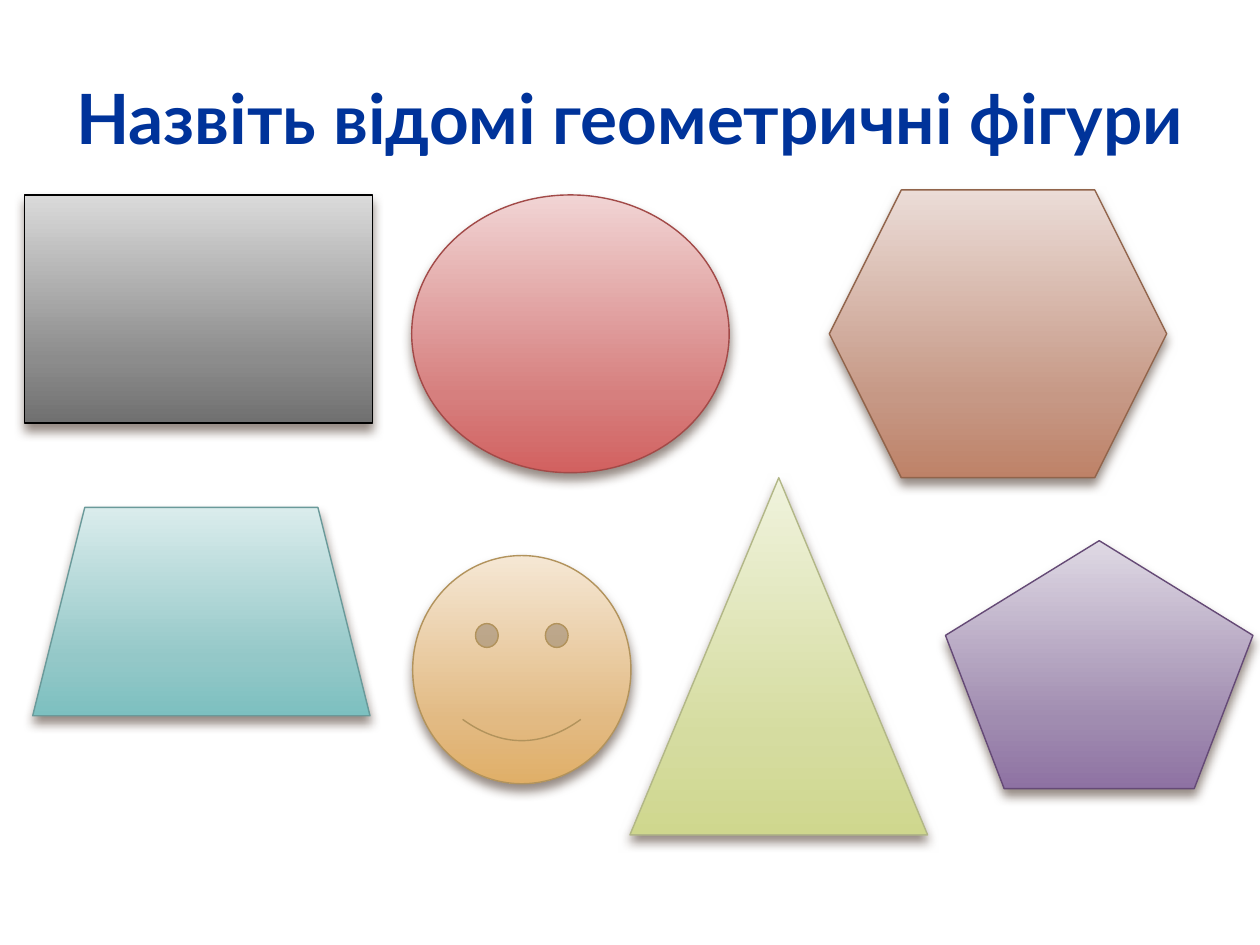
from copy import deepcopy

from lxml.etree import SubElement
from pptx import Presentation
from pptx.dml.color import RGBColor
from pptx.enum.shapes import MSO_SHAPE
from pptx.enum.text import MSO_ANCHOR, PP_ALIGN
from pptx.oxml import parse_xml
from pptx.oxml.ns import nsdecls, qn
from pptx.util import Cm, Pt

COLORS = {
    "title": "00339A",
    "title_outline": "F2F2F2",
    "shadow": "4E3B30",
    "black": ("DADADA", "8C8C8C", "707070", "000000"),
    "red": ("F1D4D4", "D67F7E", "D26160", "A24A48"),
    "lime": ("F0F3DD", "D5DCA0", "CFD78E", "B2B787"),
    "teal": ("DAECEC", "94C8C8", "7DC0C0", "6A9A9A"),
    "brown": ("EBDCD7", "C69885", "BE8268", "91644B"),
    "purple": ("DFD9E4", "A08CB0", "8E72A3", "654A76"),
    "orange": ("F5E7D4", "E2BA83", "E0AF68", "B2935C"),
}
STOP_POSITIONS = (0, 0.72, 1)
FIGURES = [
    (MSO_SHAPE.RECTANGLE, "black", 0.5, 3.93, 7.01, 4.6),
    (MSO_SHAPE.OVAL, "red", 8.3, 3.93, 6.4, 5.6),
    (MSO_SHAPE.ISOSCELES_TRIANGLE, "lime", 12.7, 9.63, 6, 7.2),
    (MSO_SHAPE.TRAPEZOID, "teal", 0.66, 10.23, 6.8, 4.2),
    (MSO_SHAPE.HEXAGON, "brown", 16.72, 3.83, 6.8, 5.8),
    (MSO_SHAPE.REGULAR_PENTAGON, "purple", 19.06, 10.9, 6.2, 5),
    (MSO_SHAPE.SMILEY_FACE, "orange", 8.32, 11.2, 4.4, 4.6),
]

prs = Presentation()
prs.slide_width, prs.slide_height = Cm(25.4), Cm(19.05)
slide = prs.slides.add_slide(prs.slide_layouts[6])

title = slide.shapes.add_textbox(Cm(1.27), Cm(0.76), Cm(22.86), Cm(3.18))
frame = title.text_frame
frame.word_wrap = True
frame.vertical_anchor = MSO_ANCHOR.MIDDLE
frame.margin_left = frame.margin_right = Cm(0)
paragraph = frame.paragraphs[0]
paragraph.alignment = PP_ALIGN.CENTER
run = paragraph.add_run()
run.text = "Назвіть відомі геометричні фігури"
run.font.name = "Lato"
run.font.size = Pt(39.6)
run.font.bold = True
run.font.color.rgb = RGBColor.from_string(COLORS["title"])
run.font._element.insert(0, parse_xml(
    f'<a:ln {nsdecls("a")} w="{Pt(0.15)}"><a:solidFill>'
    f'<a:srgbClr val="{COLORS["title_outline"]}"/></a:solidFill></a:ln>'
))

for preset, tone, left, top, width, height in FIGURES:
    figure = slide.shapes.add_shape(preset, Cm(left), Cm(top), Cm(width), Cm(height))
    *stop_colors, line_color = COLORS[tone]

    figure.fill.gradient()
    figure.fill.gradient_angle = 270
    stop_list = figure._element.spPr.find(".//" + qn("a:gsLst"))
    stop_list.append(deepcopy(stop_list[0]))
    for stop, position, color in zip(figure.fill.gradient_stops, STOP_POSITIONS, stop_colors):
        stop.position = position
        stop.color.rgb = RGBColor.from_string(color)

    figure.line.color.rgb = RGBColor.from_string(line_color)
    figure.line.width = Pt(0.79)

    figure.shadow.inherit = False
    effects = figure._element.spPr.find(qn("a:effectLst"))
    shadow = SubElement(effects, qn("a:outerShdw"), blurRad=str(Pt(6)), dist=str(Pt(4)),
                        dir="5400000", rotWithShape="0")
    shadow_color = SubElement(shadow, qn("a:srgbClr"), val=COLORS["shadow"])
    SubElement(shadow_color, qn("a:alpha"), val="60000")

prs.save("out.pptx")
